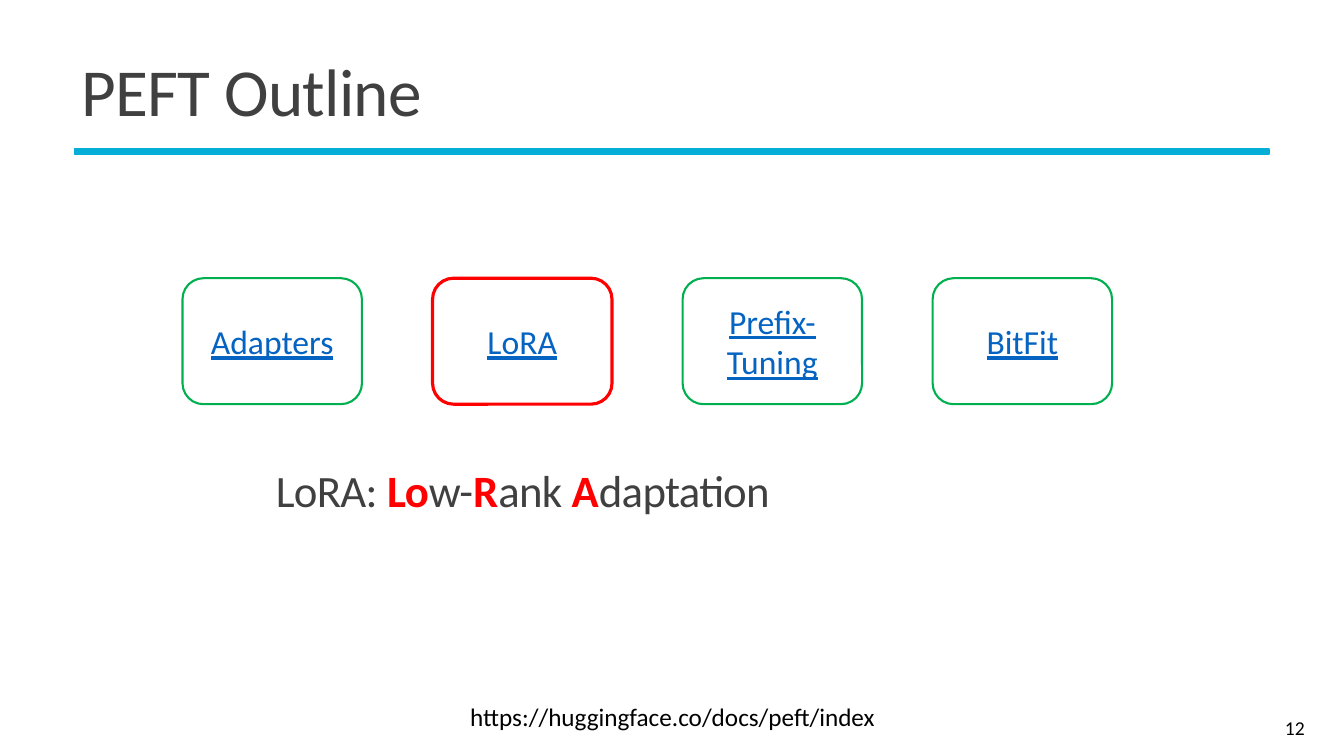
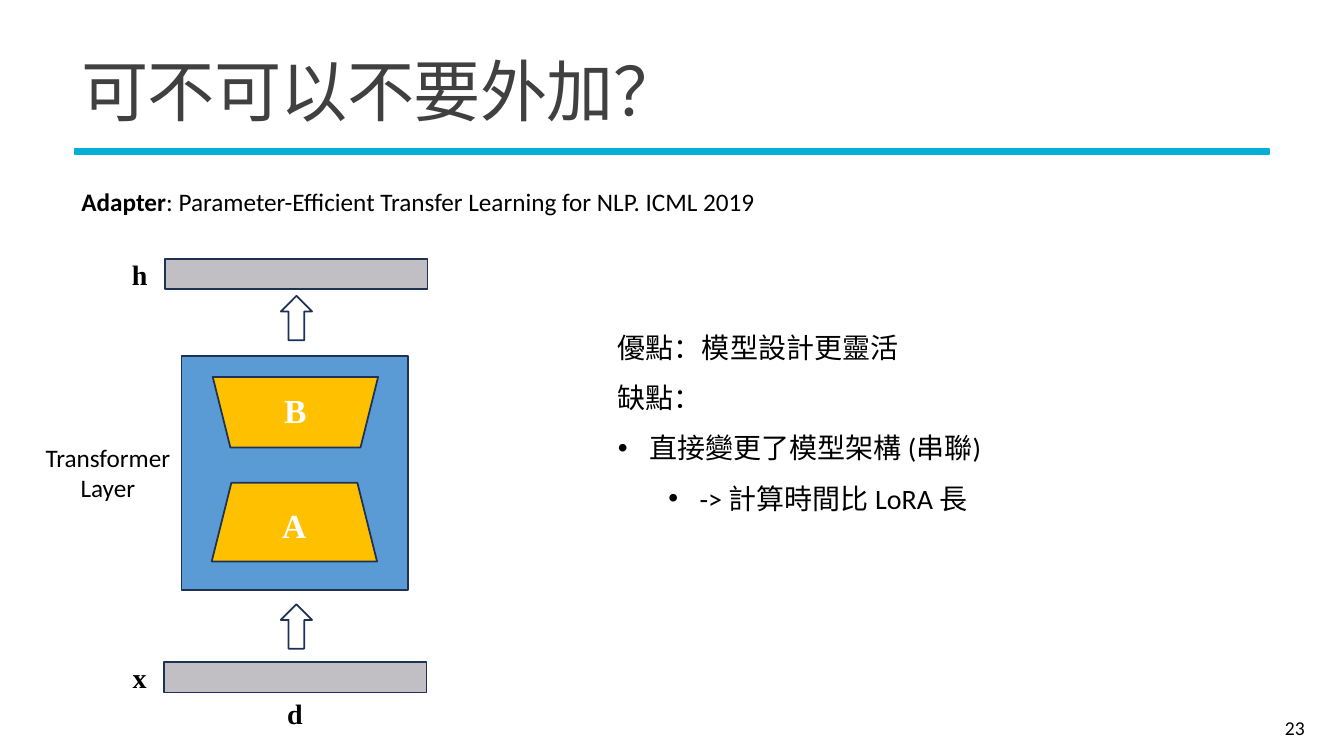
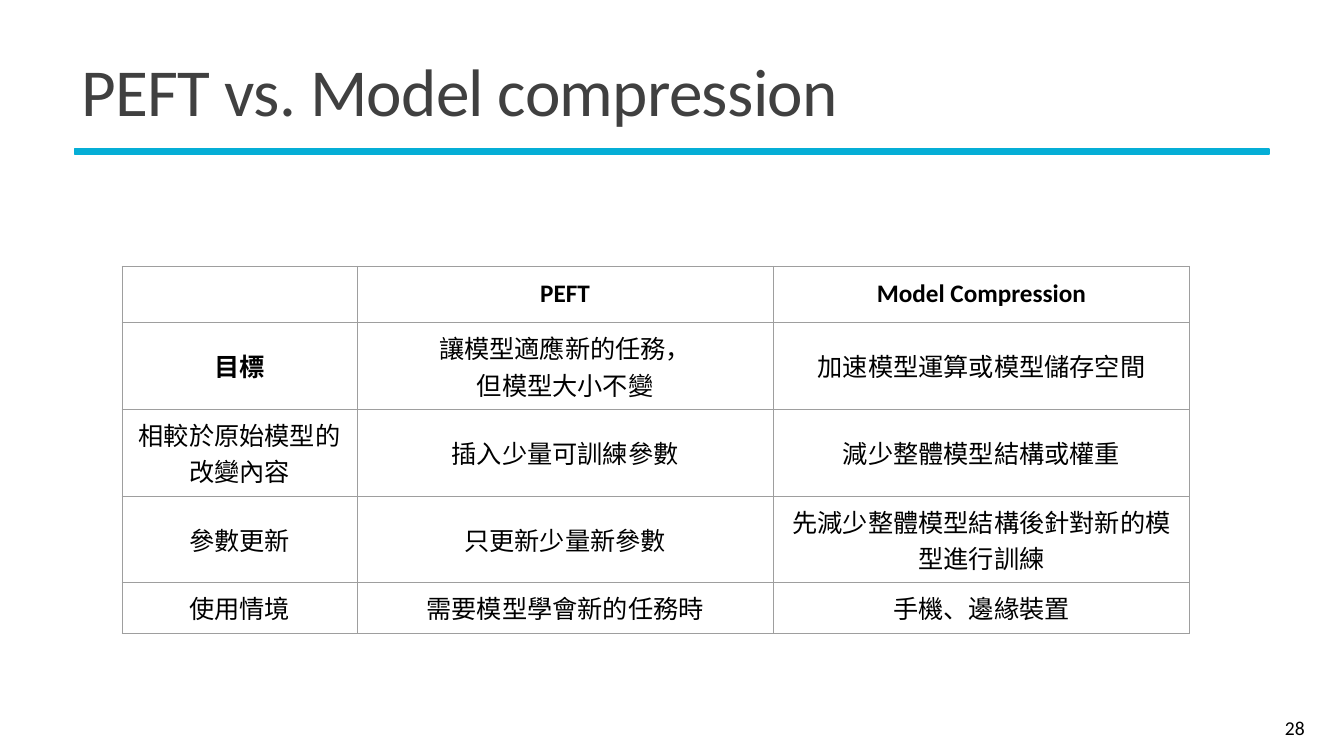
"""Build three slides on parameter-efficient fine-tuning."""
from dataclasses import dataclass

from lxml import etree
from pptx import Presentation
from pptx.dml.color import RGBColor
from pptx.enum.shapes import MSO_SHAPE
from pptx.enum.text import MSO_ANCHOR, PP_ALIGN
from pptx.oxml.ns import qn
from pptx.util import Inches, Pt

RECTANGLE = MSO_SHAPE.RECTANGLE
ROUNDED = MSO_SHAPE.ROUNDED_RECTANGLE
TRAPEZOID = MSO_SHAPE.TRAPEZOID
ARROW = MSO_SHAPE.RIGHT_ARROW
LEFT, CENTER, RIGHT = PP_ALIGN.LEFT, PP_ALIGN.CENTER, PP_ALIGN.RIGHT
TOP, MIDDLE = MSO_ANCHOR.TOP, MSO_ANCHOR.MIDDLE


@dataclass(frozen=True)
class Theme:
    """Colours, fonts and type sizes of the deck."""

    accent: str = "05AED6"
    title: str = "404040"
    text: str = "000000"
    white: str = "FFFFFF"
    link: str = "0563C1"
    green: str = "00B050"
    red: str = "FF0000"
    navy: str = "1E3256"
    blue: str = "5A9BD5"
    amber: str = "FFC000"
    gray: str = "C1BFC4"
    grid: str = "9E9E9E"
    sans: str = "Calibri"
    asian: str = "Noto Sans CJK TC"
    serif: str = "Times New Roman"
    title_size: int = 48
    subtitle_size: int = 32
    label_size: int = 24
    body_size: int = 20
    small_size: int = 18
    number_size: int = 14


THEME = Theme()
HEADING = {"color": THEME.title, "tracking": -50}
SYMBOL = {"name": THEME.serif, "bold": True}


def add_run(paragraph, text, style):
    """Add one run with the given format values."""
    values = {"name": THEME.sans, "size": THEME.small_size, "color": THEME.text, **style}
    color = values.pop("color")
    tracking = values.pop("tracking", None)
    values["size"] = Pt(values["size"])
    run = paragraph.add_run()
    run.text = text
    for key, value in values.items():
        setattr(run.font, key, value)
    run.font.color.rgb = RGBColor.from_string(color)
    properties = run.font._element
    etree.SubElement(properties, qn("a:ea")).set("typeface", THEME.asian)
    if tracking is not None:
        properties.set("spc", str(tracking))


def add_bullet(paragraph, level):
    """Give a paragraph a hanging bullet at the given level."""
    properties = paragraph._p.get_or_add_pPr()
    properties.set("marL", str(Inches(0.31 + 0.5 * level)))
    properties.set("indent", str(-Inches(0.31)))
    etree.SubElement(properties, qn("a:buFont")).set("typeface", "Arial")
    etree.SubElement(properties, qn("a:buChar")).set("char", "•")
    paragraph.level = level


def write(frame, paragraphs, style, align=CENTER, spacing=None):
    """Fill a text frame; a paragraph is a string or a list of runs."""
    frame.word_wrap = True
    for index, content in enumerate(paragraphs):
        paragraph = frame.paragraphs[0] if index == 0 else frame.add_paragraph()
        paragraph.alignment = align
        if spacing:
            paragraph.line_spacing = spacing
        runs = [(content, {})] if isinstance(content, str) else content
        for text, changes in runs:
            add_run(paragraph, text, {**style, **changes})


def add_text(slide, box, paragraphs, style, align=CENTER, anchor=TOP, spacing=None):
    """Add a text box and return its text frame."""
    frame = slide.shapes.add_textbox(*map(Inches, box)).text_frame
    frame.vertical_anchor = anchor
    write(frame, paragraphs, style, align, spacing)
    return frame


def add_box(slide, kind, box, fill=None, line=THEME.navy, width=1.25, rotation=0):
    """Add a flat preset shape."""
    shape = slide.shapes.add_shape(kind, *map(Inches, box))
    shape.shadow.inherit = False
    shape.rotation = rotation
    if fill:
        shape.fill.solid()
        shape.fill.fore_color.rgb = RGBColor.from_string(fill)
    else:
        shape.fill.background()
    shape.line.color.rgb = RGBColor.from_string(line)
    shape.line.width = Pt(width)
    return shape


def label(shape, text, style):
    """Write centred text inside a shape."""
    shape.text_frame.vertical_anchor = MIDDLE
    write(shape.text_frame, [text], style)


def add_borders(cell):
    """Draw thin lines on all four sides of a table cell."""
    properties = cell._tc.get_or_add_tcPr()
    for side in ("lnL", "lnR", "lnT", "lnB"):
        line = etree.SubElement(properties, qn(f"a:{side}"), w=str(Pt(0.5)))
        fill = etree.SubElement(line, qn("a:solidFill"))
        etree.SubElement(fill, qn("a:srgbClr")).set("val", THEME.grid)


def add_table(slide, left, top, widths, heights, rows):
    """Add a plain ruled table; a cell is its list of paragraphs."""
    size = (left, top, sum(widths), sum(heights))
    table = slide.shapes.add_table(len(rows), len(widths), *map(Inches, size)).table
    table.first_row = table.horz_banding = False
    for column, width in zip(table.columns, widths):
        column.width = Inches(width)
    for row, height in zip(table.rows, heights):
        row.height = Inches(height)
    for row_index, row in enumerate(rows):
        for column_index, paragraphs in enumerate(row):
            cell = table.cell(row_index, column_index)
            add_borders(cell)
            cell.fill.background()
            cell.vertical_anchor = MIDDLE
            for side in ("left", "right", "top", "bottom"):
                setattr(cell, f"margin_{side}", Inches(0.07))
            heading = row_index == 0 or (row_index, column_index) == (1, 0)
            write(cell.text_frame, paragraphs, {"bold": heading})


def add_slide(presentation, title, number):
    """Add a slide with title, rule and page number."""
    slide = presentation.slides.add_slide(presentation.slide_layouts[6])
    add_box(slide, RECTANGLE, (0.74, 1.48, 11.85, 0.05), THEME.accent, THEME.accent)
    add_text(slide, (0.71, 0.39, 11.94, 1.13), [title],
             {**HEADING, "size": THEME.title_size}, LEFT, MIDDLE, 0.85)
    add_text(slide, (11.61, 7.02, 1.43, 0.4), [str(number)],
             {"size": THEME.number_size}, RIGHT, MIDDLE)
    return slide


def build_outline(presentation):
    """Build the outline of methods with LoRA highlighted."""
    slide = add_slide(presentation, "PEFT Outline", 12)
    link = {"size": THEME.label_size, "color": THEME.link, "underline": True}
    for index, method in enumerate(("Adapters", "LoRA", "Prefix-Tuning", "BitFit")):
        line, width = (THEME.red, 2.25) if method == "LoRA" else (THEME.green, 1.5)
        box = (1.81 + 2.48 * index, 2.76, 1.78, 1.25)
        label(add_box(slide, ROUNDED, box, line=line, width=width), method, link)
    add_text(slide, (4.31, 6.91, 4.72, 0.4), ["https://huggingface.co/docs/peft/index"], {})
    initial = {"color": THEME.red, "bold": True}
    expansion = [("LoRA: ", {}), ("Lo", initial), ("w-", {}), ("R", initial),
                 ("ank ", {}), ("A", initial), ("daptation", {})]
    add_text(slide, (1.91, 4.33, 6.55, 1.13), [expansion],
             {**HEADING, "size": THEME.subtitle_size}, CENTER, MIDDLE, 0.85)


def build_adapter(presentation):
    """Build the adapter diagram with its pros and cons."""
    slide = add_slide(presentation, "可不可以不要外加？", 23)
    matrix = {**SYMBOL, "size": THEME.label_size, "color": THEME.white}
    vector = {**SYMBOL, "size": THEME.body_size}

    add_box(slide, RECTANGLE, (1.8, 3.53, 2.25, 2.32), THEME.blue)
    add_box(slide, TRAPEZOID, (2.11, 3.74, 1.64, 0.7), THEME.amber, rotation=180)
    add_text(slide, (2.22, 3.82, 1.42, 0.5), ["B"], matrix)
    label(add_box(slide, TRAPEZOID, (2.1, 4.79, 1.64, 0.78), THEME.amber), "A", matrix)
    for left, top in ((1.64, 2.57), (1.63, 6.57)):
        add_box(slide, RECTANGLE, (left, top, 2.6, 0.3), THEME.gray)
    for top in (3, 6.06):
        add_box(slide, ARROW, (2.72, top, 0.44, 0.31), THEME.white, rotation=270)
    for name, left, top in (("h", 1.14, 2.51), ("x", 1.14, 6.5), ("d", 2.68, 6.86)):
        add_text(slide, (left, top, 0.49, 0.44), [name], vector)
    add_text(slide, (0.32, 4.34, 1.5, 0.71), ["Transformer Layer"], {})

    citation = [("Adapter", {"bold": True}),
                (": Parameter-Efficient Transfer Learning for NLP. ICML 2019", {})]
    add_text(slide, (0.71, 1.8, 7.13, 0.4), [citation], {}, LEFT)
    points = ["優點：模型設計更靈活", "缺點：", "直接變更了模型架構 (串聯)", "-> 計算時間比 LoRA 長"]
    frame = add_text(slide, (6.03, 3.06, 4.64, 2.07), points,
                     {"size": THEME.body_size}, LEFT, spacing=1.5)
    for level, paragraph in enumerate(frame.paragraphs[2:]):
        add_bullet(paragraph, level)


def build_comparison(presentation):
    """Build the table that compares PEFT with model compression."""
    slide = add_slide(presentation, "PEFT vs. Model compression", 28)
    rows = [
        [[], ["PEFT"], ["Model Compression"]],
        [["目標"], ["讓模型適應新的任務，", "但模型大小不變"], ["加速模型運算或模型儲存空間"]],
        [["相較於原始模型的改變內容"], ["插入少量可訓練參數"], ["減少整體模型結構或權重"]],
        [["參數更新"], ["只更新少量新參數"], ["先減少整體模型結構後針對新的模型進行訓練"]],
        [["使用情境"], ["需要模型學會新的任務時"], ["手機、邊緣裝置"]],
    ]
    heights = (0.56, 0.86, 0.86, 0.86, 0.5)
    add_table(slide, 1.21, 2.64, (2.33, 4.13, 4.13), heights, rows)


def main():
    """Build and save the deck."""
    presentation = Presentation()
    presentation.slide_width = Inches(13.33)
    presentation.slide_height = Inches(7.5)
    build_outline(presentation)
    build_adapter(presentation)
    build_comparison(presentation)
    presentation.save("out.pptx")


if __name__ == "__main__":
    main()
